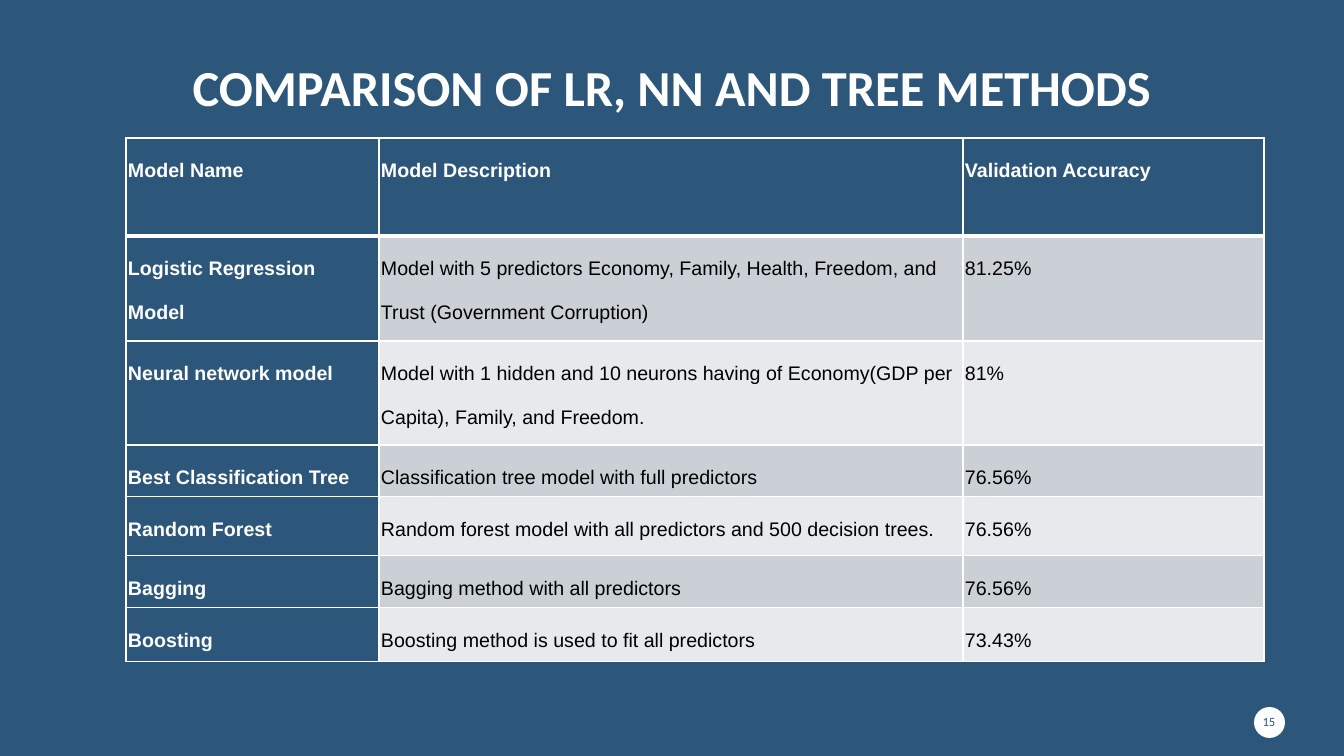
import pptx
import pptx.util
import pptx.dml.color
import pptx.enum.shapes
import pptx.enum.text
import pptx.oxml

# Content
TITLE = "COMPARISON OF LR, NN AND TREE METHODS"
PAGE_NUMBER = "15"
MODELS = [
    ("Model Name", "Model Description", "Validation Accuracy"),
    ("Logistic Regression Model",
     "Model with 5 predictors Economy, Family, Health, Freedom, and Trust (Government Corruption)",
     "81.25%"),
    ("Neural network model",
     "Model with 1 hidden and 10 neurons having of Economy(GDP per Capita), Family, and Freedom.",
     "81%"),
    ("Best Classification Tree", "Classification tree model with full predictors", "76.56%"),
    ("Random Forest", "Random forest model with all predictors and 500 decision trees.", "76.56%"),
    ("Bagging", "Bagging method with all predictors", "76.56%"),
    ("Boosting", "Boosting method is used to fit all predictors", "73.43%"),
]

# Layout in px
PAGE_WIDTH, PAGE_HEIGHT = 1344, 756
EMU_PER_PX = 12192000 / PAGE_WIDTH
TITLE_BOX = (126, 49, 1092, 73)
BADGE = (1254, 707, 31, 31)
NUMBER_BOX = (1253, 712, 32, 20)
TABLE_LEFT, TABLE_TOP = 126, 138
COLUMN_WIDTHS = [253, 584, 301]
ROW_HEIGHTS = [98, 105, 104, 52, 59, 52, 54]
CELL_INSET = 2
COLORS = {"navy": "2C567A", "white": "FFFFFF", "black": "000000",
          "dark band": "CBD0D6", "light band": "E7E9EC"}


def px(length):
    return pptx.util.Emu(round(length * EMU_PER_PX))


def color(name):
    return pptx.dml.color.RGBColor.from_string(COLORS[name])


def paint(fill, name):
    fill.solid()
    fill.fore_color.rgb = color(name)


def style(para, font, size, name, bold=False, spacing=1.0):
    para.font.name = font
    para.font.size = pptx.util.Pt(size)
    para.font.bold = bold
    para.font.color.rgb = color(name)
    para.line_spacing = spacing


def add_text(page, place, text, anchor, insets, size, name, bold=False, spacing=1.0):
    frame = page.shapes.add_textbox(*map(px, place)).text_frame
    frame.word_wrap = True
    frame.vertical_anchor = anchor
    frame.margin_left = frame.margin_right = px(insets[0])
    frame.margin_top = frame.margin_bottom = px(insets[1])
    para = frame.paragraphs[0]
    para.text = text
    para.alignment = pptx.enum.text.PP_ALIGN.CENTER
    style(para, "Calibri", size, name, bold, spacing)


def add_border(cell, side, points):
    cell._tc.get_or_add_tcPr().append(pptx.oxml.parse_xml(
        f'<a:ln{side} xmlns:a="http://schemas.openxmlformats.org/drawingml/2006/main" '
        f'w="{pptx.util.Pt(points)}"><a:solidFill><a:srgbClr val="{COLORS["white"]}"/>'
        f'</a:solidFill></a:ln{side}>'))


def add_model_table(page):
    table = page.shapes.add_table(
        len(MODELS), len(COLUMN_WIDTHS), px(TABLE_LEFT), px(TABLE_TOP),
        px(sum(COLUMN_WIDTHS)), px(sum(ROW_HEIGHTS))).table
    table.first_col = True
    for column, width in zip(table.columns, COLUMN_WIDTHS):
        column.width = px(width)
    for row, height in zip(table.rows, ROW_HEIGHTS):
        row.height = px(height)
    for row_index, model in enumerate(MODELS):
        band = "dark band" if row_index % 2 else "light band"
        for column_index, text in enumerate(model):
            cell = table.cell(row_index, column_index)
            heading = row_index == 0 or column_index == 0
            cell.margin_left = cell.margin_right = px(CELL_INSET)
            cell.margin_top = cell.margin_bottom = 0
            # The rule under the header row is thicker
            for side in "LRTB":
                thick = (row_index, side) in [(0, "B"), (1, "T")]
                add_border(cell, side, 3 if thick else 1)
            paint(cell.fill, "navy" if heading else band)
            para = cell.text_frame.paragraphs[0]
            para.text = text
            style(para, "Arial", 14, "white" if heading else "black", heading, 2.0)


def main():
    deck = pptx.Presentation()
    deck.slide_width, deck.slide_height = px(PAGE_WIDTH), px(PAGE_HEIGHT)
    page = deck.slides.add_slide(deck.slide_layouts[6])
    paint(page.background.fill, "navy")

    # Title
    anchors = pptx.enum.text.MSO_ANCHOR
    add_text(page, TITLE_BOX, TITLE, anchors.BOTTOM, (10, 5), 36, "white", True, 0.9)

    # Comparison table
    add_model_table(page)

    # Page number badge
    badge = page.shapes.add_shape(pptx.enum.shapes.MSO_SHAPE.OVAL, *map(px, BADGE))
    badge.shadow.inherit = False
    paint(badge.fill, "white")
    badge.line.fill.background()
    add_text(page, NUMBER_BOX, PAGE_NUMBER, anchors.MIDDLE, (0, 0), 9, "navy")

    deck.save("out.pptx")


if __name__ == "__main__":
    main()
